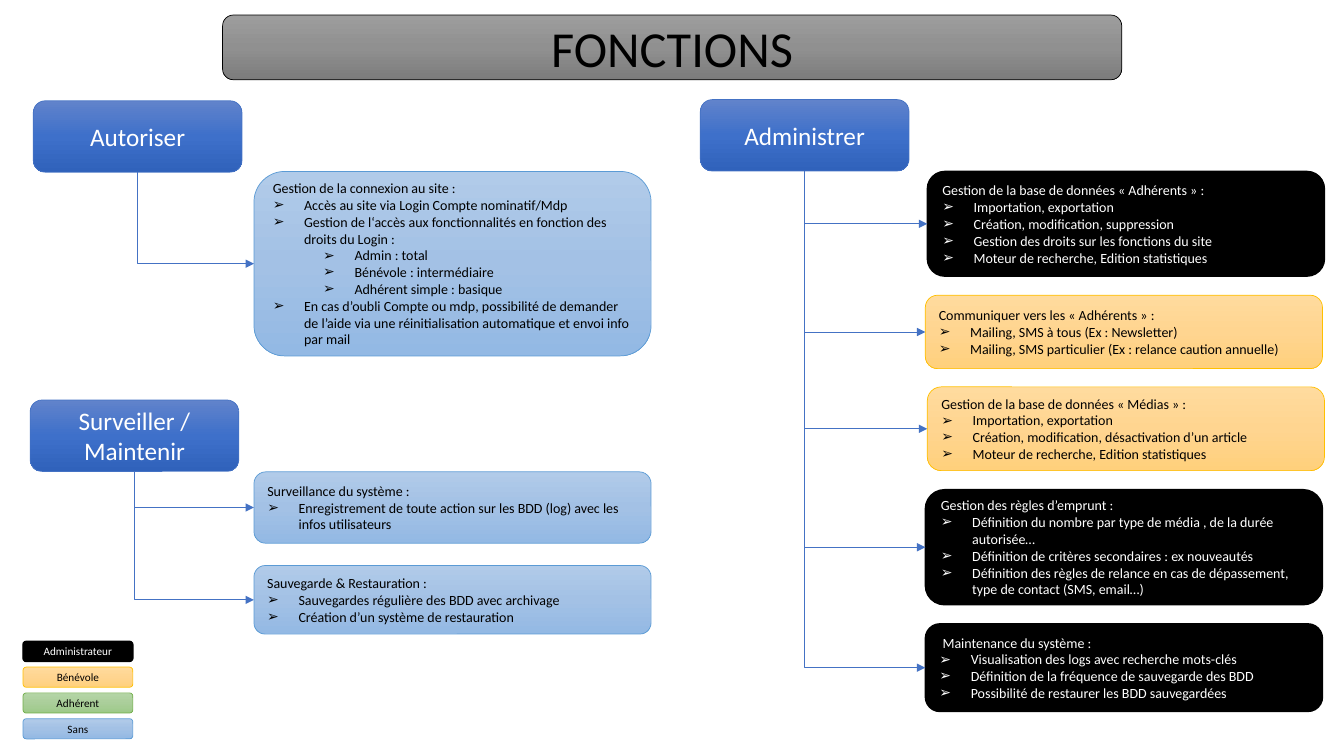
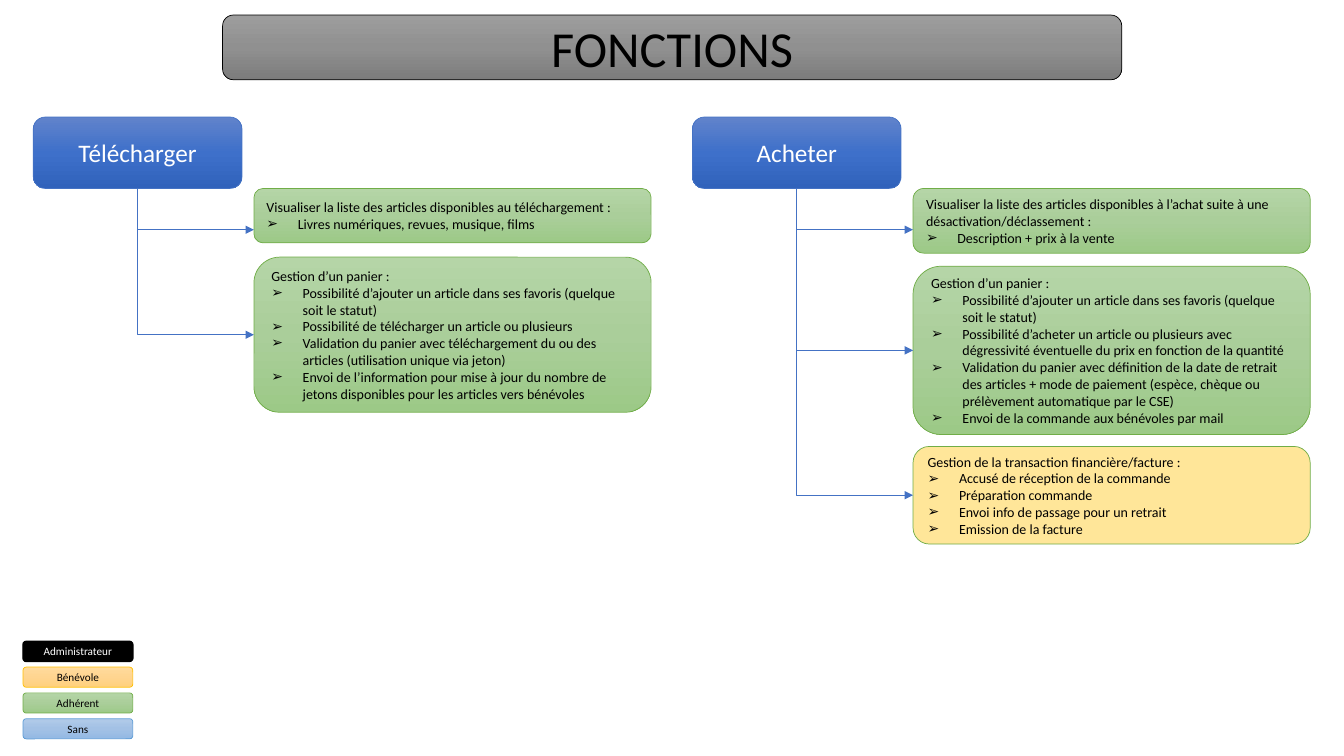
"""Builds two slides of site functions, grouped by theme and coloured by user role."""
from copy import deepcopy
from pptx import Presentation
from pptx.dml.color import RGBColor
from pptx.enum.shapes import MSO_CONNECTOR, MSO_SHAPE
from pptx.enum.text import MSO_ANCHOR, PP_ALIGN
from pptx.oxml.ns import qn
from pptx.oxml.xmlchemy import OxmlElement
from pptx.util import Cm, Pt

FONT = "Calibri"
C = {"black": "000000", "white": "FFFFFF", "blue": "4472C4", "gold": "FFC000",
     "green": "70AD47", "sky": "5B9BD5", "cream": "FFE699"}

STYLES = {
    "title": (("9D9D9D", "909090", "7C7C7C"), C["black"], 0.5, C["black"]),
    "head": (("6183CB", "3E70CA", "3062BB"), C["blue"], 0.5, C["white"]),
    "Administrateur": ((C["black"],), C["black"], 1, C["white"]),
    "Bénévole": (("FFDB9E", "FFD590", "FFD07C"), C["gold"], 0.5, C["black"]),
    "Adhérent": (("B5D5A7", "AACE9A", "9CC987"), C["green"], 0.5, C["black"]),
    "Sans": (("B1CBE9", "A3C1E5", "93B9E4"), C["sky"], 0.5, C["black"]),
    "invoice": ((C["cream"],), C["green"], 0.5, C["black"]),
}
LEGEND = ["Administrateur", "Bénévole", "Adhérent", "Sans"]
LEGEND_X, LEGEND_Y, LEGEND_STEP, LEGEND_W, LEGEND_H = 0.58, 16.16, 0.65, 2.77, 0.51
TITLE, TITLE_BOX = "FONCTIONS", (5.61, 0.38, 22.66, 1.63)
HEAD_W, HEAD_H, CARD_W = 5.26, 1.8, 10.01
FIRST_ARROW_Y = 5.79

FUNCTIONS = [
    [
        ("Administrer", 17.65, 2.51, [
            ("Administrateur", 23.37, 4.32, 2.64, None,
             "Gestion de la base de données «\u00a0Adhérents\u00a0» :",
             ["Importation, exportation",
              "Création, modification, suppression",
              "Gestion des droits sur les fonctions du site",
              "Moteur de recherche, Edition statistiques"]),
            ("Bénévole", 23.32, 7.44, 1.85, None,
             "Communiquer vers les «\u00a0Adhérents\u00a0» :",
             ["Mailing, SMS à tous (Ex : Newsletter)",
              "Mailing, SMS particulier (Ex : relance caution annuelle)"]),
            ("Bénévole", 23.37, 9.75, 2.11, None,
             "Gestion de la base de données «\u00a0Médias\u00a0» :",
             ["Importation, exportation",
              "Création, modification, désactivation d’un article",
              "Moteur de recherche, Edition statistiques"]),
            ("Administrateur", 23.32, 12.34, 2.9, None,
             "Gestion des règles d’emprunt :",
             ["Définition du nombre par type de média , de la durée autorisée…",
              "Définition de critères secondaires : ex nouveautés",
              "Définition des règles de relance en cas de dépassement, "
              "type de contact (SMS, email…)"]),
            ("Administrateur", 23.32, 15.72, 2.21, None,
             " Maintenance du système :",
             ["Visualisation des logs avec recherche mots-clés",
              "Définition de la fréquence de sauvegarde des BDD",
              "Possibilité de restaurer les BDD sauvegardées"]),
        ]),
        ("Autoriser", 0.84, 2.54, [
            ("Sans", 6.4, 4.32, 4.65, None,
             "Gestion de la connexion au site :",
             ["Accès au site via Login Compte nominatif/Mdp",
              "Gestion de l‘accès aux fonctionnalités en fonction des droits du Login :",
              ("Admin : total", "Bénévole : intermédiaire", "Adhérent simple : basique"),
              "En cas d’oubli Compte ou mdp, possibilité de demander de l’aide via "
              "une réinitialisation automatique et envoi info par mail"]),
        ]),
        ("Surveiller / Maintenir", 0.76, 10.08, [
            ("Sans", 6.4, 11.89, 1.8, None,
             "Surveillance du système :",
             ["Enregistrement de toute action sur les BDD (log) avec les infos utilisateurs"]),
            ("Sans", 6.4, 14.25, 1.73, None,
             "Sauvegarde & Restauration :",
             ["Sauvegardes régulière des BDD avec archivage",
              "Création d’un système de restauration"]),
        ]),
    ],
    [
        ("Télécharger", 0.84, 2.95, [
            ("Adhérent", 6.4, 4.75, 1.37, FIRST_ARROW_Y,
             "Visualiser la liste des articles disponibles au téléchargement :",
             ["Livres numériques, revues, musique, films"]),
            ("Adhérent", 6.4, 6.48, 3.91, None,
             "Gestion d’un panier :",
             ["Possibilité d’ajouter un article dans ses favoris (quelque soit le statut)",
              "Possibilité de télécharger un article ou plusieurs",
              "Validation du panier avec téléchargement du ou des articles "
              "(utilisation unique via jeton)",
              "Envoi de l’information pour mise à jour du nombre de jetons "
              "disponibles pour les articles vers bénévoles"]),
        ]),
        ("Acheter", 17.45, 2.95, [
            ("Adhérent", 23.01, 4.75, 1.63, FIRST_ARROW_Y,
             "Visualiser la liste des articles disponibles à l’achat suite à une "
             "désactivation/déclassement :",
             ["Description + prix à la vente"]),
            ("Adhérent", 23.01, 6.71, 4.24, None,
             "Gestion d’un panier :",
             ["Possibilité d’ajouter un article dans ses favoris (quelque soit le statut)",
              "Possibilité d’acheter un article ou plusieurs avec dégressivité "
              "éventuelle du prix en fonction de la quantité",
              "Validation du panier avec définition de la date de retrait des articles "
              "+ mode de paiement (espèce, chèque ou prélèvement automatique par le CSE)",
              "Envoi de la commande aux bénévoles par mail"]),
            ("invoice", 23.01, 11.25, 2.46, None,
             "Gestion de la transaction financière/facture :",
             ["Accusé de réception de la commande",
              "Préparation commande",
              "Envoi info de passage pour un retrait",
              "Emission de la facture"]),
        ]),
    ],
]


def paint(sp, colors):
    if len(colors) == 1:
        sp.fill.solid()
        sp.fill.fore_color.rgb = RGBColor.from_string(colors[0])
        return
    fill = sp.fill
    fill.gradient()
    fill.gradient_angle = 270
    stops = sp.element.spPr.find(qn("a:gradFill")).find(qn("a:gsLst"))
    stops.append(deepcopy(stops[0]))
    for i, (stop, color) in enumerate(zip(fill.gradient_stops, colors)):
        stop.position = i / (len(colors) - 1)
        stop.color.rgb = RGBColor.from_string(color)


def add_bullet(p, level):
    p.level = level
    pPr = p._p.get_or_add_pPr()
    pPr.set("marL", str(Cm(0.79 + 1.27 * level)))
    pPr.set("indent", str(-Cm(0.79)))
    for tag, key, value in (("a:buFont", "typeface", "Arial"), ("a:buChar", "char", "➢")):
        el = OxmlElement(tag)
        el.set(key, value)
        pPr.append(el)


def add_box(s, style, box, lines, size, align=PP_ALIGN.CENTER):
    colors, outline, width, ink = STYLES[style]
    sp = s.shapes.add_shape(MSO_SHAPE.ROUNDED_RECTANGLE, *[Cm(v) for v in box])
    sp.shadow.inherit = False
    paint(sp, colors)
    sp.line.color.rgb = RGBColor.from_string(outline)
    sp.line.width = Pt(width)
    tf = sp.text_frame
    tf.word_wrap = True
    tf.vertical_anchor = MSO_ANCHOR.MIDDLE
    for i, (text, level) in enumerate(lines):
        p = tf.add_paragraph() if i else tf.paragraphs[0]
        p.alignment = align
        if level is not None:
            add_bullet(p, level)
        r = p.add_run()
        r.text = text
        r.font.name, r.font.size = FONT, Pt(size)
        r.font.color.rgb = RGBColor.from_string(ink)
    return sp


def card_lines(heading, items):
    lines = [(heading, None)]
    for item in items:
        if isinstance(item, tuple):
            lines += [(sub, 1) for sub in item]
        else:
            lines.append((item, 0))
    return lines


def add_arrow(s, head, card, arrow_y):
    x1, y1 = head.left + head.width // 2, head.top + head.height
    x2 = card.left
    y2 = Cm(arrow_y) if arrow_y else card.top + card.height // 2
    cn = s.shapes.add_connector(MSO_CONNECTOR.ELBOW, x1, y1, x2, y2)
    cn.begin_connect(head, 2)
    if not arrow_y:
        cn.end_connect(card, 1)
    dx, dy = x2 - x1, y2 - y1
    cn.left, cn.top = (x1 + x2 - dy) // 2, (y1 + y2 - dx) // 2
    cn.width, cn.height = dy, dx
    spPr = cn.element.spPr
    xfrm = spPr.find(qn("a:xfrm"))
    xfrm.set("rot", "16200000")
    xfrm.set("flipH", "1")
    spPr.find(qn("a:prstGeom")).set("prst", "bentConnector2")
    cn.line.color.rgb = RGBColor.from_string(C["blue"])
    cn.line.width = Pt(0.5)
    tail = OxmlElement("a:tailEnd")
    tail.set("type", "triangle")
    spPr.find(qn("a:ln")).append(tail)
    spPr.append(OxmlElement("a:effectLst"))


def add_frame(s):
    add_box(s, "title", TITLE_BOX, [(TITLE, None)], 36)
    for i, role in enumerate(LEGEND):
        box = (LEGEND_X, LEGEND_Y + i * LEGEND_STEP, LEGEND_W, LEGEND_H)
        add_box(s, role, box, [(role, None)], 8)


prs = Presentation()
prs.slide_width, prs.slide_height = Cm(33.87), Cm(19.05)
for groups in FUNCTIONS:
    s = prs.slides.add_slide(prs.slide_layouts[6])
    add_frame(s)
    for name, head_x, head_y, cards in groups:
        head = add_box(s, "head", (head_x, head_y, HEAD_W, HEAD_H), [(name, None)], 18)
        for style, x, y, h, arrow_y, heading, items in cards:
            card = add_box(s, style, (x, y, CARD_W, h), card_lines(heading, items),
                           10, PP_ALIGN.LEFT)
            add_arrow(s, head, card, arrow_y)
prs.save("out.pptx")
